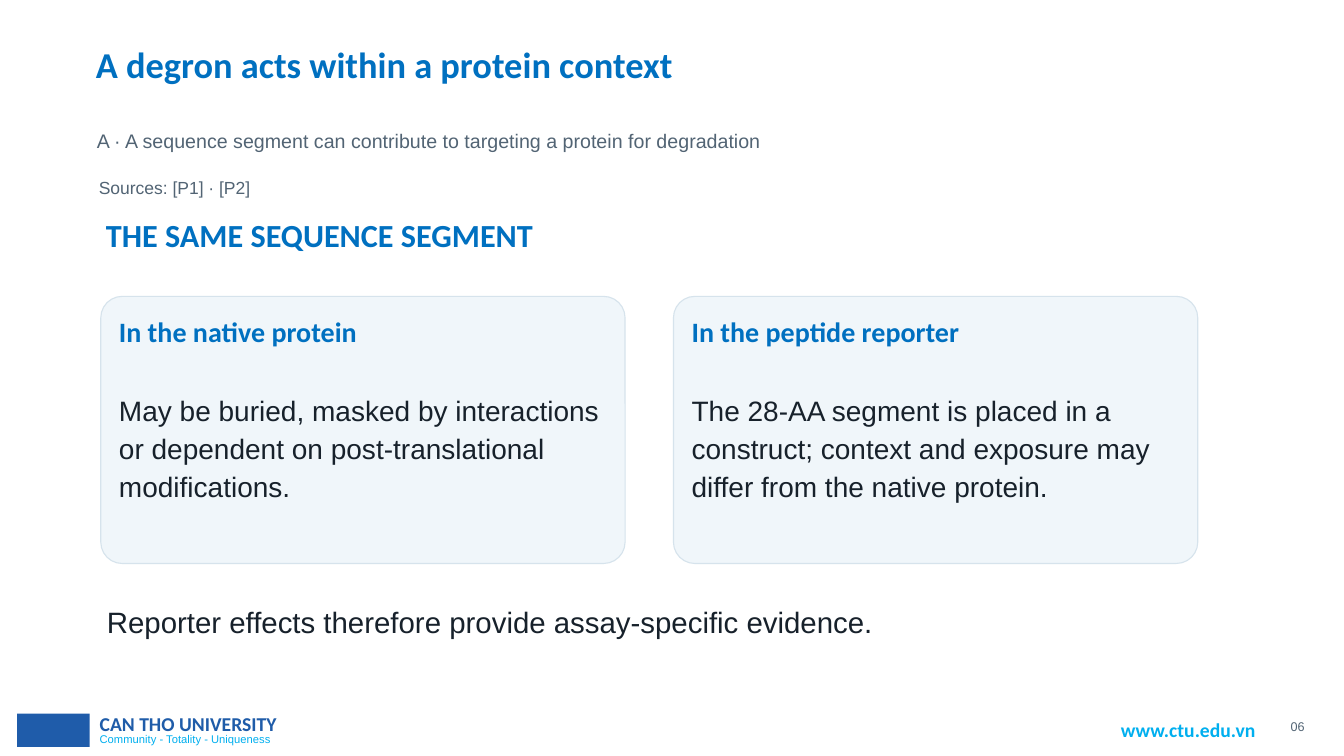
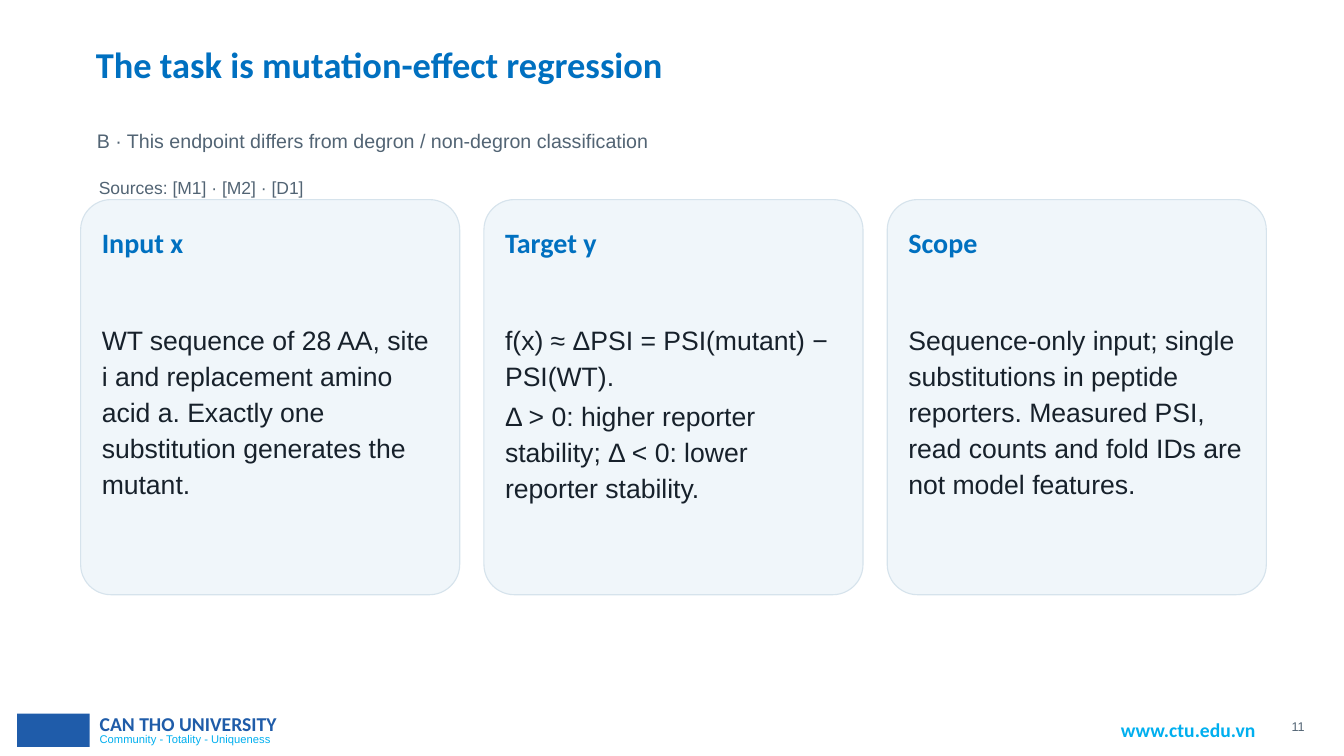
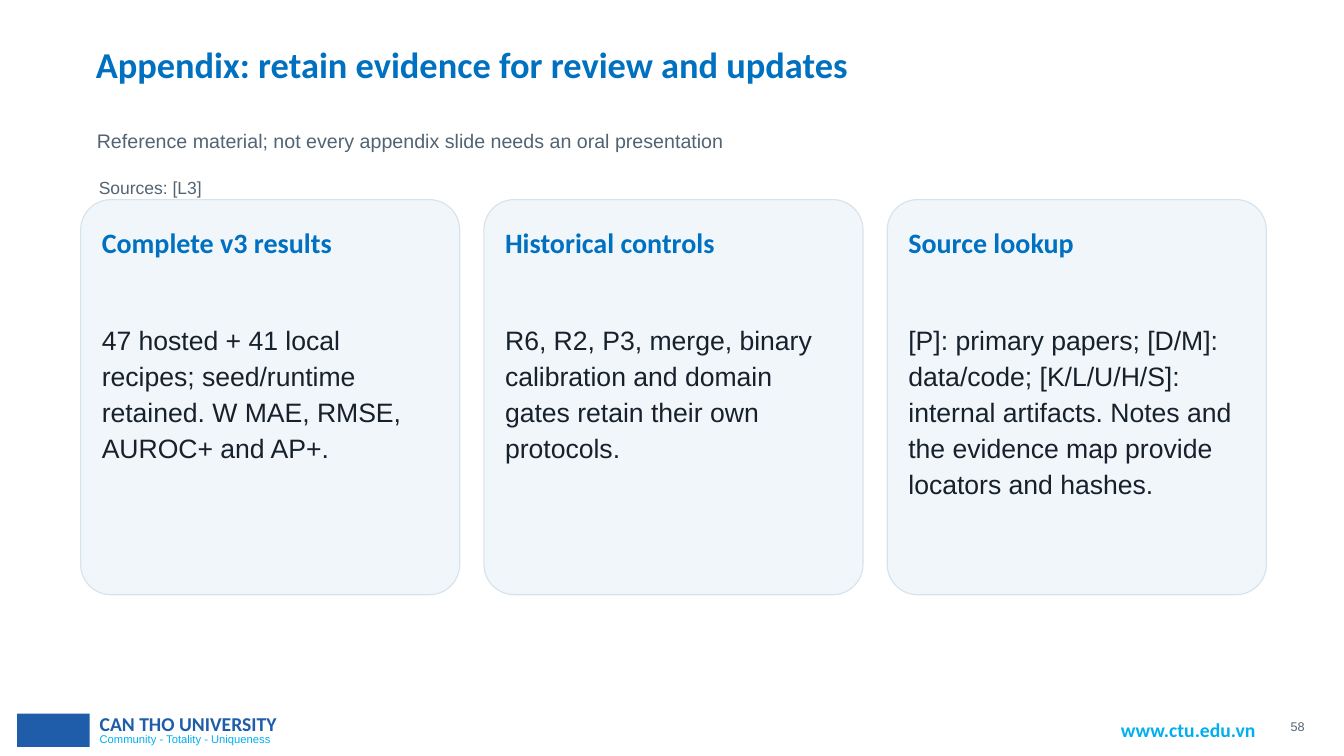
from pptx import Presentation
from pptx.dml.color import RGBColor
from pptx.enum.shapes import MSO_SHAPE as SHAPE
from pptx.enum.text import MSO_ANCHOR as ANCHOR, MSO_AUTO_SIZE as AUTO, PP_ALIGN as ALIGN
from pptx.util import Inches, Pt

# Shared look
C = {
    "heading": "0070C0", "text": "17212B", "muted": "526474",
    "card": "F0F6FA", "edge": "D6E3EC",
    "block": "1F5CAA", "name": "1F5CA9", "sky": "00AFEF",
}
HEAD = dict(font="Calibri", color="heading", bold=True)
NOTE = dict(color="muted")
FOOTER = dict(inset=(0.1, 0.05), spacing=1, after=0)

# Card grids: every further length follows from these
TWO = dict(left=1, top=2.94, width=5.2, height=2.65, gap=0.48,
           pad=0.17, head=0.13, body=0.91, size=20)
THREE = dict(left=0.8, top=1.98, width=3.76, height=3.92, gap=0.24,
             pad=0.2, head=0.2, body=1.18, size=19)

SLIDES = [
    dict(
        number="06", grid=TWO,
        title="A degron acts within a protein context",
        subtitle="A · A sequence segment can contribute to targeting a protein for degradation",
        sources="Sources: [P1] · [P2]",
        banner="THE SAME SEQUENCE SEGMENT",
        cards=[
            ("In the native protein",
             "May be buried, masked by interactions or dependent on "
             "post-translational modifications."),
            ("In the peptide reporter",
             "The 28-AA segment is placed in a construct; context and exposure "
             "may differ from the native protein."),
        ],
        closing="Reporter effects therefore provide assay-specific evidence.",
    ),
    dict(
        number="11", grid=THREE,
        title="The task is mutation-effect regression",
        subtitle="B · This endpoint differs from degron / non-degron classification",
        sources="Sources: [M1] · [M2] · [D1]",
        cards=[
            ("Input x",
             "WT sequence of 28 AA, site i and replacement amino acid a. "
             "Exactly one substitution generates the mutant."),
            ("Target y",
             "f(x) ≈ ΔPSI = PSI(mutant) − PSI(WT).",
             "Δ > 0: higher reporter stability; Δ < 0: lower reporter stability."),
            ("Scope",
             "Sequence-only input; single substitutions in peptide reporters. "
             "Measured PSI, read counts and fold IDs are not model features."),
        ],
    ),
    dict(
        number="58", grid=THREE,
        title="Appendix: retain evidence for review and updates",
        subtitle="Reference material; not every appendix slide needs an oral presentation",
        sources="Sources: [L3]",
        cards=[
            ("Complete v3 results",
             "47 hosted + 41 local recipes; seed/runtime retained. "
             "W MAE, RMSE, AUROC+ and AP+."),
            ("Historical controls",
             "R6, R2, P3, merge, binary calibration and domain gates "
             "retain their own protocols."),
            ("Source lookup",
             "[P]: primary papers; [D/M]: data/code; [K/L/U/H/S]: internal "
             "artifacts. Notes and the evidence map provide locators and hashes."),
        ],
    ),
]


def write(sp, at, *lines, size, font="Arial", color="text", bold=False,
          align=ALIGN.LEFT, inset=(0.01, 0.01), spacing=1.13, after=3, wrap=True):
    """Place a shape and fill it with one paragraph per line."""
    sp.left, sp.top, sp.width, sp.height = map(Inches, at)
    tf = sp.text_frame
    tf.auto_size, tf.word_wrap, tf.vertical_anchor = AUTO.NONE, wrap, ANCHOR.TOP
    tf.margin_left = tf.margin_right = Inches(inset[0])
    tf.margin_top = tf.margin_bottom = Inches(inset[1])
    for i, line in enumerate(lines):
        p = tf.add_paragraph() if i else tf.paragraphs[0]
        p.alignment, p.line_spacing, p.space_after = align, spacing, Pt(after)
        r = p.add_run()
        r.text = line
        r.font.name, r.font.size, r.font.bold = font, Pt(size), bold
        r.font.color.rgb = RGBColor.from_string(C[color])


def block(s, kind, at, fill, edge=None):
    """Add a flat preset shape."""
    sp = s.shapes.add_shape(kind, *map(Inches, at))
    sp.shadow.inherit = False
    sp.fill.solid()
    sp.fill.fore_color.rgb = RGBColor.from_string(C[fill])
    if edge:
        sp.line.color.rgb = RGBColor.from_string(C[edge])
        sp.line.width = Pt(0.8)
    else:
        sp.line.fill.background()
    return sp


prs = Presentation()
prs.slide_width, prs.slide_height = Inches(13.33), Inches(7.5)

for page in SLIDES:
    s = prs.slides.add_slide(prs.slide_layouts[5])
    text_box = lambda: s.shapes.add_textbox(0, 0, 0, 0)

    # Footer
    write(text_box(), (11.02, 7.07, 1.64, 0.34), "www.ctu.edu.vn",
          size=14, font="Calibri", color="sky", bold=True, wrap=False, **FOOTER)
    block(s, SHAPE.RECTANGLE, (0.17, 7.08, 0.72, 0.33), "block")
    write(text_box(), (0.89, 7.22, 2.1, 0.24), "Community - Totality - Uniqueness",
          size=8, color="sky", **FOOTER)
    write(text_box(), (0.89, 7.01, 3.02, 0.34), "CAN THO UNIVERSITY",
          size=14, font="Calibri", color="name", bold=True, **FOOTER)
    write(text_box(), (12.65, 7.1, 0.3, 0.2), page["number"],
          size=9, align=ALIGN.RIGHT, **NOTE)

    # Title, subtitle and sources
    write(s.shapes.title, (0.94, 0.35, 11.65, 0.82), page["title"], size=26, **HEAD)
    write(text_box(), (0.95, 1.24, 11.55, 0.48), page["subtitle"], size=14, **NOTE)
    write(text_box(), (0.97, 1.72, 11.47, 0.27), page["sources"], size=12.5, **NOTE)

    # Lines above and below the cards
    if "banner" in page:
        write(text_box(), (1.04, 2.08, 11, 0.55), page["banner"], size=23, **HEAD)
    if "closing" in page:
        write(text_box(), (1.05, 5.94, 11, 0.48), page["closing"], size=21)

    # Cards
    g = page["grid"]
    top, width, height, pad = g["top"], g["width"], g["height"], g["pad"]
    inner = width - 2 * pad
    for col, (heading, *lines) in enumerate(page["cards"]):
        x = g["left"] + col * (width + g["gap"])
        card = block(s, SHAPE.ROUNDED_RECTANGLE, (x, top, width, height), "card", "edge")
        card.adjustments[0] = 0.08
        write(text_box(), (x + pad, top + g["head"], inner, g["body"] - g["head"] - 0.1),
              heading, size=20, **HEAD)
        write(text_box(), (x + pad, top + g["body"], inner, height - g["body"] - 0.15),
              *lines, size=g["size"])

prs.save("out.pptx")
